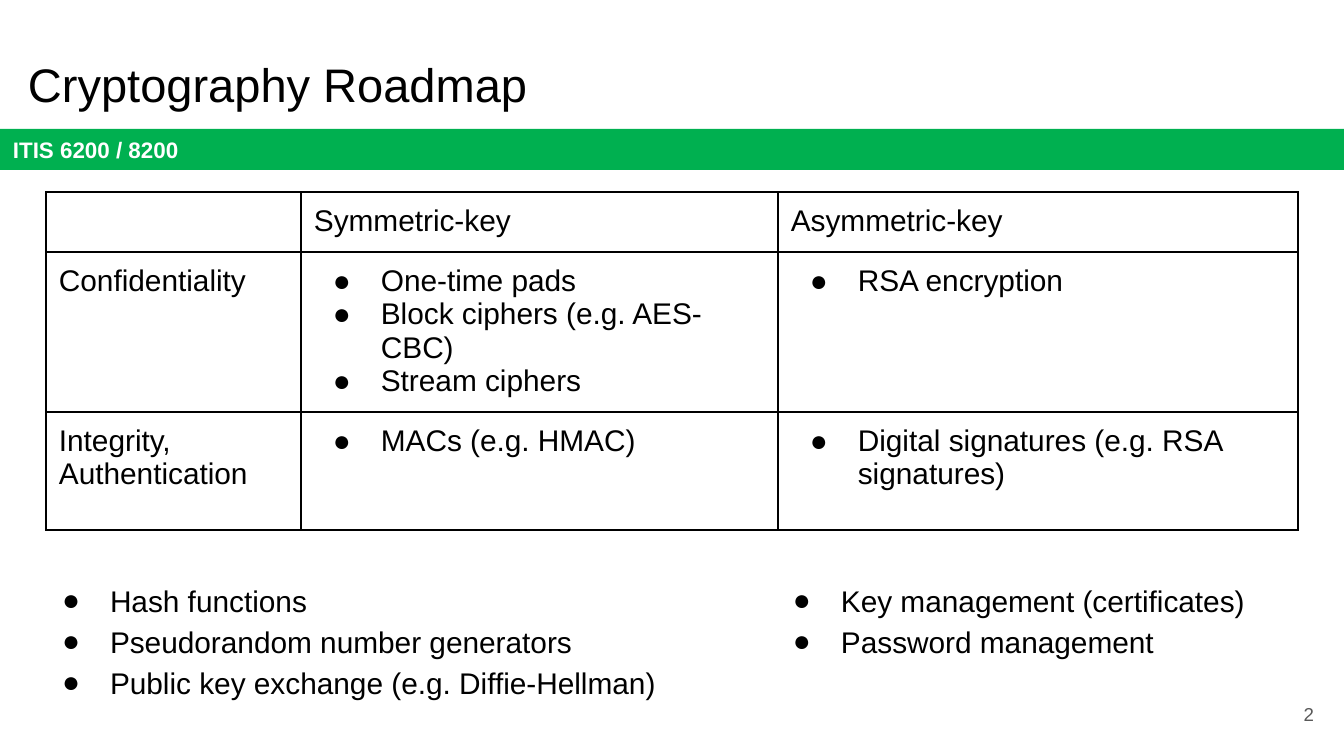
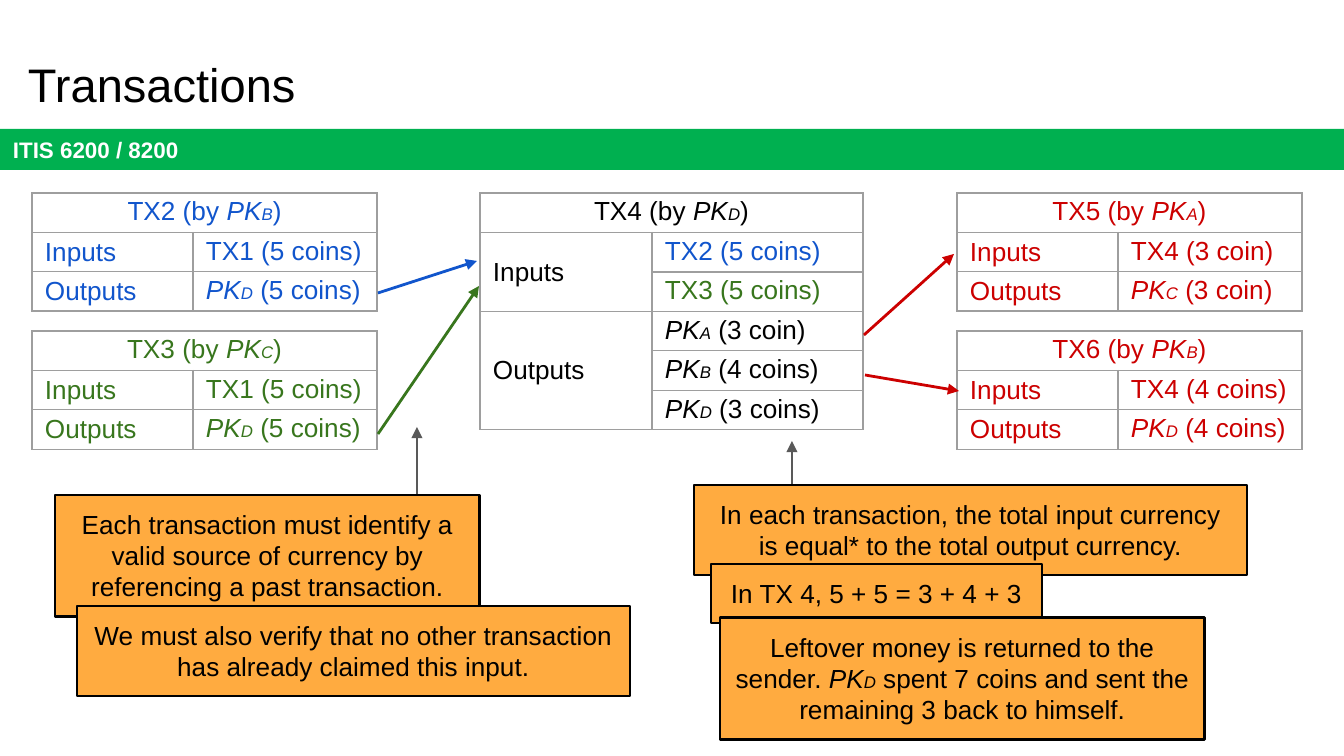
"""Builds two lecture slides: a cryptography roadmap and a coin transaction graph."""
import pptx
import pptx.dml.color
import pptx.enum.shapes
import pptx.enum.text
import pptx.oxml
import pptx.oxml.ns
import pptx.util
from lxml import etree

EMU_PER_PX = 914400 / 134.4
FONT = "Arial"
BLACK, WHITE, GREY = "000000", "FFFFFF", "595959"
GREEN_BAND, ORANGE, GRID = "00B050", "FFAB40", "9E9E9E"
BLUE, GREEN, RED = "1155CC", "38761D", "CC0000"
INSET, CELL_INSET = 13, 4
BULLET_LEFT, BULLET_HANG = 67, 48
ALIGN = pptx.enum.text.PP_ALIGN
ANCHOR = pptx.enum.text.MSO_ANCHOR
FIT = pptx.enum.text.MSO_AUTO_SIZE


def px(length):
    """Turn pixels into EMU."""
    return pptx.util.Emu(round(length * EMU_PER_PX))


def rgb(code):
    """Turn a hex string into a colour."""
    return pptx.dml.color.RGBColor.from_string(code)


def add_xml(parent, tag, **attributes):
    """Append a drawing element and return it."""
    return etree.SubElement(parent, pptx.oxml.ns.qn(f"a:{tag}"), attributes)


def add_span(para, text, size, color, bold=False, italic=False):
    """Add one formatted run."""
    span = para.add_run()
    span.text = text
    span.font.name = FONT
    span.font.size = pptx.util.Pt(size)
    span.font.bold = bold
    span.font.italic = italic
    span.font.color.rgb = rgb(color)


def add_bullet(para):
    """Give a paragraph a hanging round bullet."""
    properties = para._p.get_or_add_pPr()
    properties.set("marL", str(px(BULLET_LEFT)))
    properties.set("indent", str(-px(BULLET_HANG)))
    add_xml(add_xml(properties, "buClr"), "srgbClr", val=BLACK)
    add_xml(properties, "buFont", typeface=FONT)
    add_xml(properties, "buChar", char="●")


def write(frame, text, size=16, color=BLACK, bold=False, align=ALIGN.LEFT, bullets=False,
          spacing=None, anchor=ANCHOR.TOP):
    """Fill a text frame, one paragraph per line; PK_X becomes an italic key with a small letter."""
    frame.word_wrap = True
    frame.vertical_anchor = anchor
    frame.margin_left = frame.margin_right = px(INSET)
    frame.margin_top = frame.margin_bottom = px(INSET)
    for index, line in enumerate(text.split("\n")):
        para = frame.add_paragraph() if index else frame.paragraphs[0]
        if bullets:
            add_bullet(para)
        para.alignment = align
        if spacing:
            para.line_spacing = spacing
        plain, *keyed = line.split("PK_")
        if plain:
            add_span(para, plain, size, color, bold)
        for part in keyed:
            add_span(para, "PK", size, color, italic=True)
            add_span(para, part[0], 9, color, italic=True)
            if part[1:]:
                add_span(para, part[1:], size, color)


def add_text(page, left, top, width, height, text, **style):
    """Add a text box."""
    box = page.shapes.add_textbox(px(left), px(top), px(width), px(height))
    write(box.text_frame, text, **style)


def add_box(page, left, top, width, height, text, fill, line=None, **style):
    """Add a filled rectangle with text."""
    box = page.shapes.add_shape(pptx.enum.shapes.MSO_SHAPE.RECTANGLE,
                                px(left), px(top), px(width), px(height))
    box.shadow.inherit = False
    box.fill.solid()
    box.fill.fore_color.rgb = rgb(fill)
    if line:
        box.line.color.rgb = rgb(line)
        box.line.width = pptx.util.Pt(1.5)
    else:
        box.line.fill.background()
    write(box.text_frame, text, **style)
    return box


def add_callout(page, left, top, width, height, text):
    """Add an orange note that fits its text."""
    box = add_box(page, left, top, width, height, text, ORANGE, BLACK,
                  size=14, align=ALIGN.CENTER)
    box.text_frame.auto_size = FIT.SHAPE_TO_FIT_TEXT


def add_arrow(page, start, end, color):
    """Add a straight arrow between two points."""
    arrow = page.shapes.add_connector(pptx.enum.shapes.MSO_CONNECTOR.STRAIGHT,
                                      *(px(value) for value in start + end))
    arrow.line.color.rgb = rgb(color)
    arrow.line.width = pptx.util.Pt(1.5)
    add_xml(arrow.line._get_or_add_ln(), "tailEnd", type="triangle")
    add_xml(arrow.element.spPr, "effectLst")


def add_grid(page, left, top, widths, heights, color, points):
    """Add an unfilled table with even borders."""
    table = page.shapes.add_table(len(heights), len(widths), px(left), px(top),
                                  px(sum(widths)), px(sum(heights))).table
    table.first_row = table.horz_banding = False
    for column, width in zip(table.columns, widths):
        column.width = px(width)
    for row, height in zip(table.rows, heights):
        row.height = px(height)
    for cell in table.iter_cells():
        properties = cell._tc.get_or_add_tcPr()
        for side in ("lnL", "lnR", "lnT", "lnB"):
            border = add_xml(properties, side, w=str(pptx.util.Pt(points)))
            add_xml(add_xml(border, "solidFill"), "srgbClr", val=color)
        cell.fill.background()
    return table


def write_cell(cell, text, inset=INSET, anchor=ANCHOR.TOP, **style):
    """Fill a table cell."""
    write(cell.text_frame, text, **style)
    cell.vertical_anchor = anchor
    cell.margin_left = cell.margin_right = px(INSET)
    cell.margin_top = cell.margin_bottom = px(inset)


def add_transaction(page, left, top, widths, height, title, inputs, outputs, color):
    """Add a transaction table; inputs and outputs are lists of (text, colour)."""
    entries = inputs + outputs
    count = len(entries) + 1
    table = add_grid(page, left, top, widths, [height / count] * count, GRID, 0.75)
    table.cell(0, 0).merge(table.cell(0, 1))
    style = {"inset": CELL_INSET, "size": 14}
    write_cell(table.cell(0, 0), title, color=color, align=ALIGN.CENTER, **style)
    first = 1
    for label, group in (("Inputs", inputs), ("Outputs", outputs)):
        if len(group) > 1:
            table.cell(first, 0).merge(table.cell(first + len(group) - 1, 0))
        write_cell(table.cell(first, 0), label, color=color, anchor=ANCHOR.MIDDLE, **style)
        first += len(group)
    for row, (text, tint) in enumerate(entries, 1):
        write_cell(table.cell(row, 1), text, color=tint, **style)


def add_page(deck, title):
    """Add a slide with the shared title style."""
    page = deck.slides.add_slide(deck.slide_layouts[5])
    box = page.shapes.title
    box.left, box.top, box.width, box.height = px(15), px(40), px(1253), px(85)
    write(box.text_frame, title, size=25.2, anchor=ANCHOR.BOTTOM)
    box.text_frame.auto_size = FIT.NONE
    return page


def add_band(page):
    """Put the course band on the layout that the pages share."""
    band = add_box(page, 0, 129, 1344, 41, "ITIS 6200 / 8200", GREEN_BAND,
                   size=12, color=WHITE, bold=True, anchor=ANCHOR.MIDDLE)
    page.slide_layout.shapes.element.append(band.element)


def build_roadmap(page):
    """Fill the roadmap slide."""
    rows = [
        ("", "Symmetric-key", "Asymmetric-key"),
        ("Confidentiality", "One-time pads\nBlock ciphers (e.g. AES-CBC)\nStream ciphers",
         "RSA encryption"),
        ("Integrity,\nAuthentication", "MACs (e.g. HMAC)",
         "Digital signatures (e.g. RSA signatures)"),
    ]
    table = add_grid(page, 46, 192, (255, 477, 520), (60, 160, 118), BLACK, 1)
    for row, texts in enumerate(rows):
        for column, text in enumerate(texts):
            if text:
                write_cell(table.cell(row, column), text, bullets=row > 0 and column > 0)
    add_text(page, 30, 564, 642, 172,
             "Hash functions\nPseudorandom number generators\n"
             "Public key exchange (e.g. Diffie-Hellman)", bullets=True, spacing=1.15)
    add_text(page, 761, 564, 507, 105, "Key management (certificates)\nPassword management",
             bullets=True, spacing=1.15)
    add_text(page, 1246, 685, 81, 58, "2", size=10, color=GREY, align=ALIGN.RIGHT,
             anchor=ANCHOR.MIDDLE)


def build_transactions(page):
    """Fill the transactions slide."""
    add_arrow(page, (792, 532), (792, 441), GREY)
    add_callout(page, 694, 485, 553, 90, "In each transaction, the total input currency "
                "is equal* to the total output currency.")
    add_callout(page, 711, 564, 331, 59, "In TX 4, 5 + 5 = 3 + 4 + 3")
    add_arrow(page, (417, 517), (417, 427), GREY)
    add_callout(page, 55, 495, 425, 122, "Each transaction must identify a valid source of "
                "currency by referencing a past transaction.")
    add_callout(page, 77, 606, 553, 90, "We must also verify that no other transaction "
                "has already claimed this input.")
    add_callout(page, 720, 618, 485, 122, "Leftover money is returned to the sender. "
                "PK_D spent 7 coins and sent the remaining 3 back to himself.")

    upper, lower = 193, 331
    small = [
        (32, upper, "TX2 (by PK_B)", "TX1 (5 coins)", "PK_D (5 coins)", BLUE),
        (32, lower, "TX3 (by PK_C)", "TX1 (5 coins)", "PK_D (5 coins)", GREEN),
        (957, upper, "TX5 (by PK_A)", "TX4 (3 coin)", "PK_C (3 coin)", RED),
        (957, lower, "TX6 (by PK_B)", "TX4 (4 coins)", "PK_D (4 coins)", RED),
    ]
    for left, top, title, source, target, color in small:
        add_transaction(page, left, top, (161, 184), 118, title,
                        [(source, color)], [(target, color)], color)
    add_transaction(page, 480, upper, (172, 211), 237, "TX4 (by PK_D)",
                    [("TX2 (5 coins)", BLUE), ("TX3 (5 coins)", GREEN)],
                    [("PK_A (3 coin)", BLACK), ("PK_B (4 coins)", BLACK),
                     ("PK_D (3 coins)", BLACK)], BLACK)

    add_arrow(page, (378, 293), (477, 261), BLUE)
    add_arrow(page, (378, 434), (479, 286), GREEN)
    add_arrow(page, (864, 335), (954, 254), RED)
    add_arrow(page, (865, 375), (959, 391), RED)


def main():
    """Build and save the deck."""
    deck = pptx.Presentation()
    deck.slide_width, deck.slide_height = px(1344), px(756)
    roadmap = add_page(deck, "Cryptography Roadmap")
    add_band(roadmap)
    build_roadmap(roadmap)
    build_transactions(add_page(deck, "Transactions"))
    deck.save("out.pptx")


if __name__ == "__main__":
    main()
